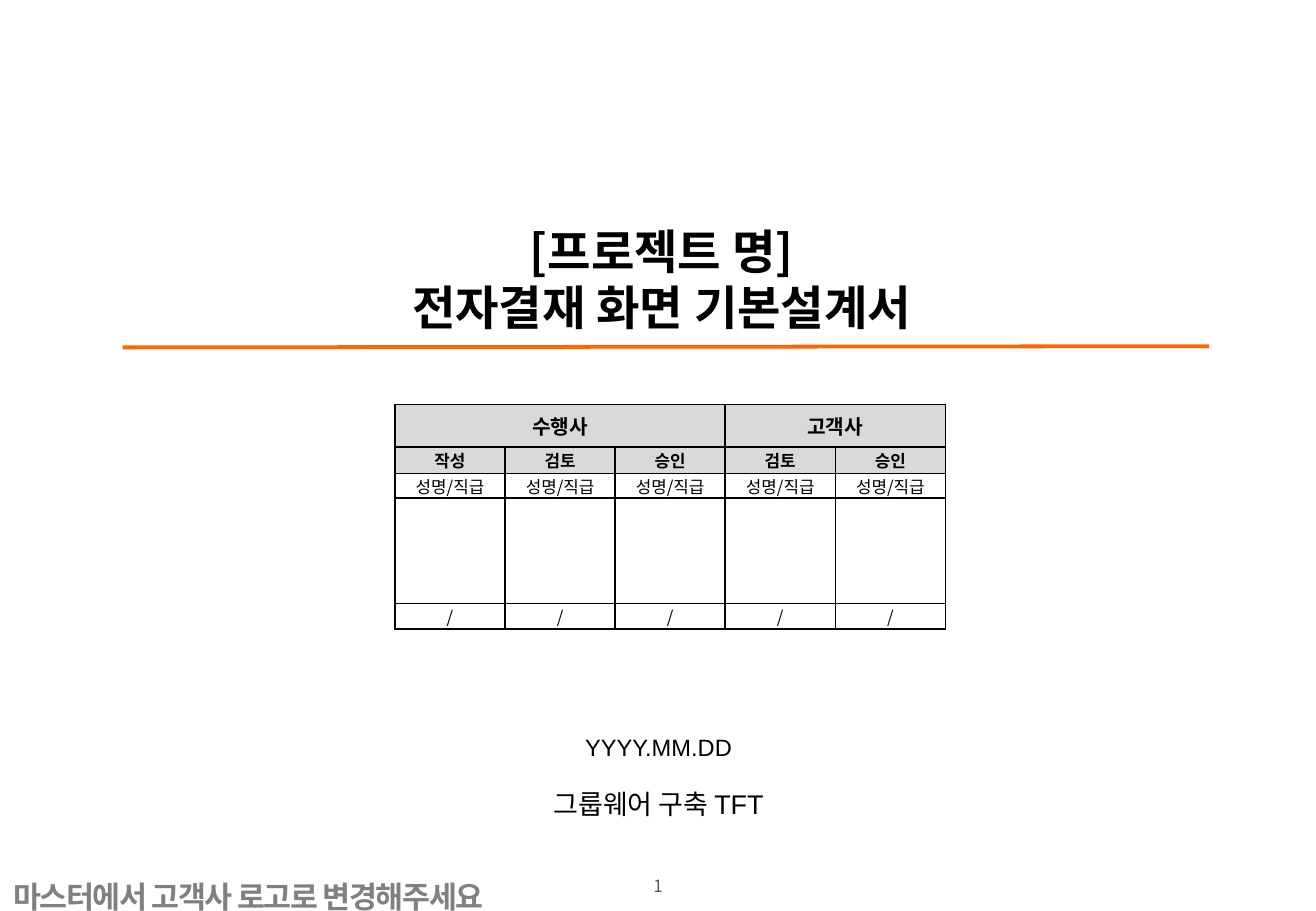
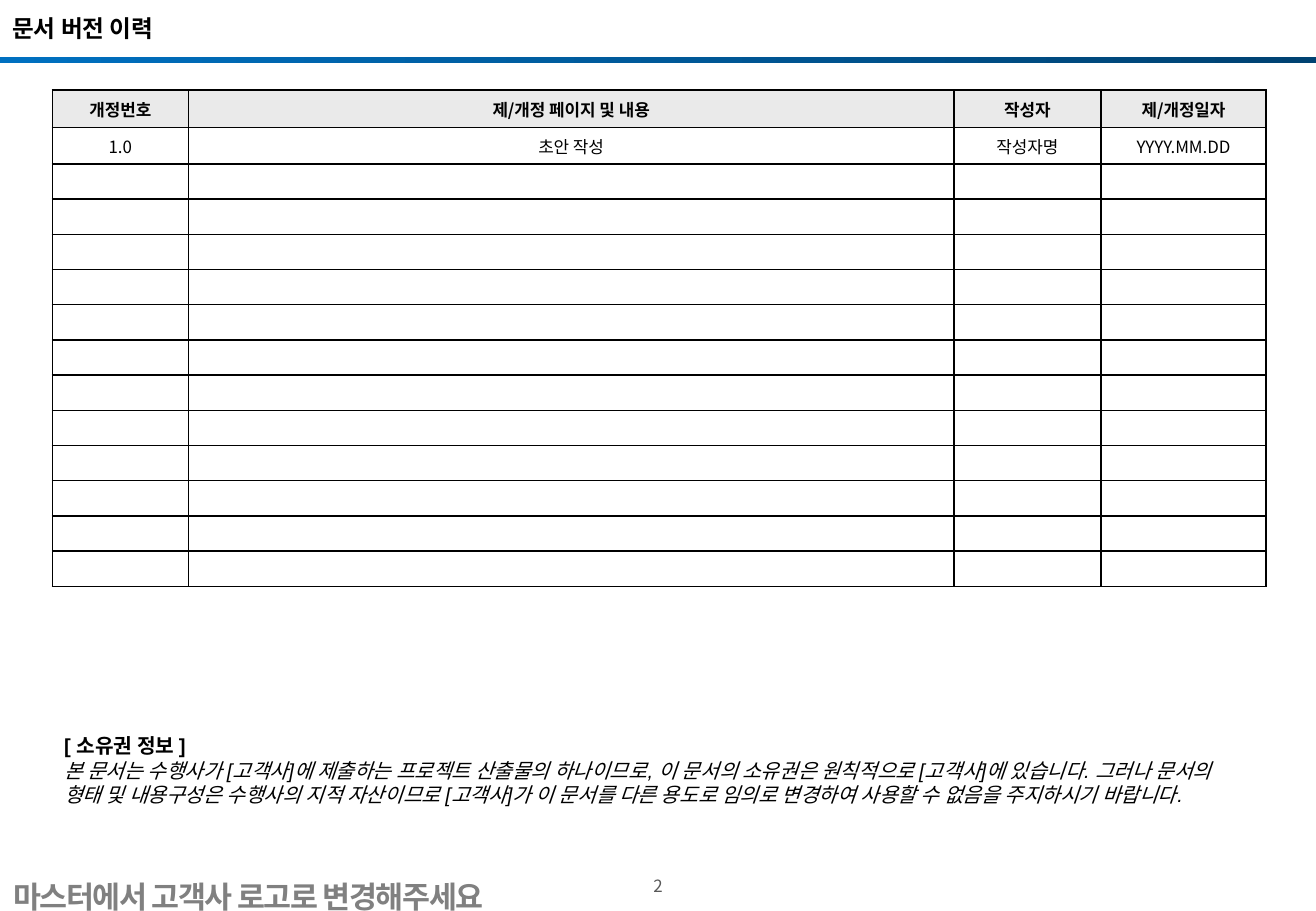
import lxml.etree
import pptx
import pptx.dml.color
import pptx.enum.shapes
import pptx.enum.text
import pptx.oxml.ns
import pptx.util

Inches = pptx.util.Inches
Pt = pptx.util.Pt
RGB = pptx.dml.color.RGBColor.from_string
Align = pptx.enum.text.PP_ALIGN
Anchor = pptx.enum.text.MSO_ANCHOR
Fit = pptx.enum.text.MSO_AUTO_SIZE
qn = pptx.oxml.ns.qn

HUES = {
    "ink": "000000", "page": "595959", "foot": "808080", "rule": "FF6600",
    "head": "D9D9D9", "pale": "EAEAEA", "blue": "0070C0", "navy": "004272",
}
NOTO = "Noto Sans CJK KR"


def style(para, size, bold=False, face=NOTO, hue="ink", align=Align.CENTER):
    para.alignment = align
    para.space_before = Pt(0)
    font = para.font
    font.size, font.bold, font.name = Pt(size), bold, face
    font.color.rgb = RGB(HUES[hue])
    # Korean glyphs take the East Asian face
    lxml.etree.SubElement(font._rPr, qn("a:ea"), typeface=NOTO)


def grid(slide, box, rows, highs, heads, fill, pad):
    """Add a bordered table; heads holds the text size of each header row."""
    table = slide.shapes.add_table(len(rows), len(rows[0]), *map(Inches, box)).table
    table.first_row = table.horz_banding = False
    for r, texts in enumerate(rows):
        table.rows[r].height = Inches(highs[r])
        for c, text in enumerate(texts):
            cell = table.cell(r, c)
            cell.text = text
            cell.vertical_anchor = Anchor.MIDDLE
            cell.margin_left = cell.margin_right = Inches(pad)
            cell.margin_top = cell.margin_bottom = Inches(pad / 2)
            head = r < len(heads)
            para = cell.text_frame.paragraphs[0]
            style(para, heads[r] if head else 10, head)
            if not text:
                lxml.etree.SubElement(para._p, qn("a:endParaRPr"), sz="1000")
            if head:
                cell.fill.solid()
                cell.fill.fore_color.rgb = RGB(HUES[fill])
            else:
                cell.fill.background()
            props = cell._tc.get_or_add_tcPr()
            for i, side in enumerate("LRTB"):
                line = lxml.etree.Element(qn("a:ln" + side), w="12700")
                solid = lxml.etree.SubElement(line, qn("a:solidFill"))
                lxml.etree.SubElement(solid, qn("a:srgbClr"), val=HUES["ink"])
                props.insert(i, line)
    return table


deck = pptx.Presentation()
deck.slide_width, deck.slide_height = Inches(10.83), Inches(7.5)
cover, log = [deck.slides.add_slide(deck.slide_layouts[i]) for i in (0, 5)]

# Shared footer: page number and logo notice
for num, slide in enumerate(deck.slides, 1):
    box = slide.shapes.add_textbox(Inches(4.79), Inches(7.16), Inches(1.25), Inches(0.3))
    para = box.text_frame.paragraphs[0]
    style(para, 10, hue="page")
    field = lxml.etree.SubElement(
        para._p, qn("a:fld"), type="slidenum",
        id="{B6F15528-21DE-4FAA-801E-634DDDAF4B2B}")
    lxml.etree.SubElement(field, qn("a:rPr"), lang="ko-KR")
    lxml.etree.SubElement(field, qn("a:t")).text = str(num)

    box = slide.shapes.add_textbox(Inches(0.01), Inches(7.03), Inches(4.54), Inches(0.5))
    box.text_frame.word_wrap = False
    para = box.text_frame.paragraphs[0]
    para.text = "마스터에서 고객사 로고로 변경해주세요"
    para.line_spacing = 1.5
    style(para, 18, True, hue="foot", align=Align.LEFT)
    para.font._rPr.set("spc", "-80")

# Titles
for slide, text, area, size, align in (
    (cover, "[프로젝트 명]\n전자결재 화면 기본설계서", (0.99, 1.91, 8.91, 0.77), 28, Align.CENTER),
    (log, "문서 버전 이력", (0, 0, 7.15, 0.47), 14, Align.LEFT),
):
    title = slide.shapes.title
    title.left, title.top, title.width, title.height = map(Inches, area)
    frame = title.text_frame
    frame.text = text
    frame.auto_size = Fit.NONE
    frame.vertical_anchor = Anchor.MIDDLE
    frame.margin_top = frame.margin_bottom = Inches(0.02)
    for para in frame.paragraphs:
        style(para, size, True, align=align)

# Cover: rule under the title
rule = cover.shapes.add_connector(
    pptx.enum.shapes.MSO_CONNECTOR.STRAIGHT,
    Inches(1.01), Inches(2.86), Inches(9.95), Inches(2.85))
rule.line.color.rgb = RGB(HUES["rule"])
rule.line.width = Pt(2.25)
lxml.etree.SubElement(rule._element.spPr, qn("a:effectLst"))

# Cover: date and team
sub = cover.placeholders[1]
sub.left, sub.top, sub.width, sub.height = map(Inches, (4.39, 5.98, 2.06, 0.84))
frame = sub.text_frame
frame.text = "YYYY.MM.DD\n그룹웨어 구축 TFT"
frame.word_wrap = False
frame.auto_size = Fit.NONE
for para, size in zip(frame.paragraphs, (14, 16)):
    style(para, size, face="Arial")
frame.paragraphs[1].space_before = Pt(16)

# Cover: sign-off table
signs = [
    ["수행사", "", "", "고객사", ""],
    ["작성", "검토", "승인", "검토", "승인"],
    ["성명/직급"] * 5,
    [""] * 5,
    ["/"] * 5,
]
table = grid(cover, (3.25, 3.33, 4.53, 1.83), signs,
             (0.35, 0.22, 0.2, 0.87, 0.21), (12, 10), "head", 0)
for first, last in ((0, 2), (3, 4)):
    table.cell(0, first).merge(table.cell(0, last))

# Log: band under the title
band = log.shapes.add_shape(
    pptx.enum.shapes.MSO_SHAPE.RECTANGLE, 0, Inches(0.47), deck.slide_width, Inches(0.05))
band.shadow.inherit = False
band.line.fill.background()
band.fill.gradient()
band.fill.gradient_angle = 0
for stop, hue in zip(band.fill.gradient_stops, ("blue", "navy")):
    stop.color.rgb = RGB(HUES[hue])

# Log: version table
vers = [
    ["개정번호", "제/개정 페이지 및 내용", "작성자", "제/개정일자"],
    ["1.0", "초안 작성", "작성자명", "YYYY.MM.DD"],
] + [[""] * 4] * 12
table = grid(log, (0.43, 0.74, 9.98, 4.06), vers,
             [0.31, 0.3] + [0.29] * 12, (10,), "pale", 0.02)
for col, wide in zip(table.columns, (1.12, 6.3, 1.21, 1.36)):
    col.width = Inches(wide)

# Log: ownership note
note = log.shapes.add_textbox(Inches(0.43), Inches(5.99), Inches(9.98), Inches(0.91))
frame = note.text_frame
frame.word_wrap = True
frame.text = (
    "[ 소유권 정보 ]\n"
    "본 문서는 수행사가 [고객사]에 제출하는 프로젝트 산출물의 하나이므로, "
    "이 문서의 소유권은 원칙적으로 [고객사]에 있습니다. "
    "그러나 문서의 형태 및 내용구성은 수행사의 지적 자산이므로 "
    "[고객사]가 이 문서를 다른 용도로 임의로 변경하여 사용할 수 없음을 주지하시기 바랍니다.")
head, body = frame.paragraphs
style(head, 12, True, "Arial", align=Align.LEFT)
style(body, 12, False, "Arial", align=Align.LEFT)
body.font.italic = True

deck.save("out.pptx")
